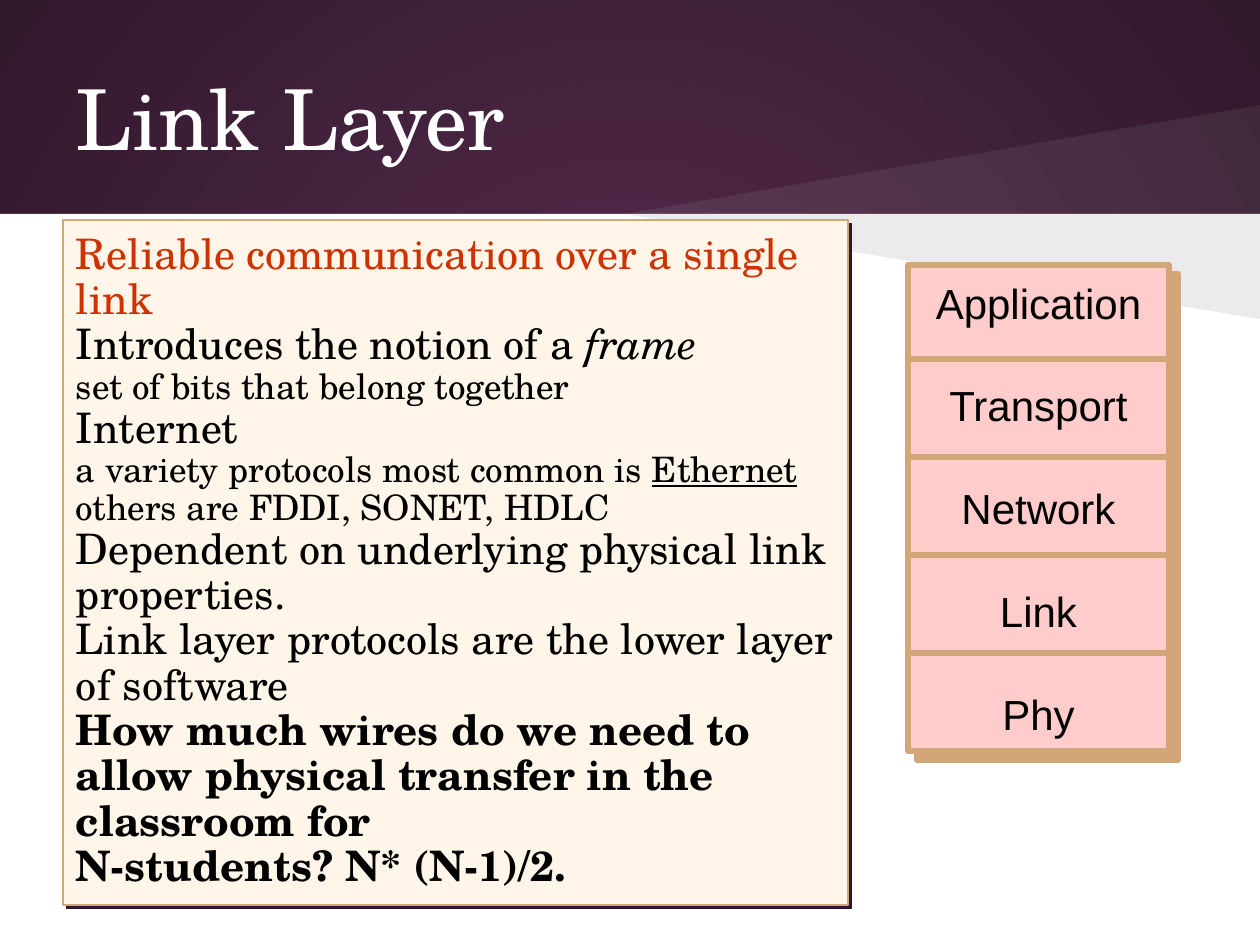
from lxml.etree import SubElement
from pptx import Presentation
from pptx.dml.color import RGBColor
from pptx.enum.shapes import MSO_CONNECTOR as Connector, MSO_SHAPE as Shape
from pptx.enum.text import MSO_ANCHOR as Anchor, PP_ALIGN as Align
from pptx.oxml.ns import qn
from pptx.util import Pt

SCALE = 914400 / 126  # EMU in one px
WIDTH, HEIGHT = 1260, 945
HORIZON = 214  # bottom of the dark band
SERIF, SANS = "TeX Gyre Schola", "Arial"
COLORS = {
    "plum": "592D50",
    "dark plum": "30182B",
    "white": "FFFFFF",
    "black": "000000",
    "cream": "FFF6E9",
    "tan": "D3A67A",
    "pink": "FFCCCC",
    "red": "CC3300",
}
LAYERS = ["Application", "Transport", "Network", "Link", "Phy"]

# Each paragraph: a list of (text, format) runs
SMALL = {"size": 20}
BOLD = {"bold": True}
NOTES = [
    [("Reliable communication over a single link", {"color": "red"})],
    [("Introduces the notion of a ", {}), ("frame", {"italic": True})],
    [("set of bits that belong together", SMALL)],
    [("Internet", {})],
    [("a variety protocols most common is ", SMALL),
     ("Ethernet", {"size": 20, "underline": True})],
    [("others are FDDI, SONET, HDLC", SMALL)],
    [("Dependent on underlying physical link properties.", {})],
    [("Link layer protocols are the lower layer of software", {})],
    [("How much wires do we need to allow physical transfer in the classroom for", BOLD)],
    [("N-students? N* (N-1)/2.", BOLD)],
]


def px(*lengths):
    return [round(length * SCALE) for length in lengths]


def rgb(name):
    return RGBColor.from_string(COLORS[name])


def paint(shape, fill, line=None, line_width=3, alpha=None):
    shape.shadow.inherit = False
    shape.fill.solid()
    shape.fill.fore_color.rgb = rgb(fill)
    if alpha is not None:
        color = shape.element.spPr.find(qn("a:solidFill"))[0]
        SubElement(color, qn("a:alpha"), val=str(alpha * 1000))
    if line:
        shape.line.color.rgb = rgb(line)
        shape.line.width = Pt(line_width)
    else:
        shape.line.fill.background()


def add_box(shapes, left, top, width, height, fill, **paint_format):
    box = shapes.add_shape(Shape.RECTANGLE, *px(left, top, width, height))
    paint(box, fill, **paint_format)
    return box


def add_triangle(shapes, points, fill, alpha):
    builder = shapes.build_freeform(*points[0], scale=SCALE)
    builder.add_line_segments(points[1:], close=True)
    paint(builder.convert_to_shape(), fill, alpha=alpha)


def add_line(shapes, x1, y1, x2, y2, color, width):
    line = shapes.add_connector(Connector.STRAIGHT, *px(x1, y1, x2, y2))
    line.line.color.rgb = rgb(color)
    line.line.width = Pt(width)
    SubElement(line.element.spPr, qn("a:effectLst"))


def add_shadow(shape, color):
    effects = shape.element.spPr.find(qn("a:effectLst"))
    shadow = SubElement(effects, qn("a:outerShdw"), dist=str(Pt(2.8)),
                        dir=str(45 * 60000), algn="ctr", rotWithShape="0")
    SubElement(shadow, qn("a:srgbClr"), val=COLORS[color])


def add_run(paragraph, text, size=24, font=SERIF, color="black",
            bold=False, italic=False, underline=False):
    run = paragraph.add_run()
    run.text = text
    run.font.size = Pt(size)
    run.font.name = font
    run.font.color.rgb = rgb(color)
    run.font.bold = bold
    run.font.italic = italic
    run.font.underline = underline


def set_frame(frame, anchor, wrap=True, inset=13):
    frame.word_wrap = wrap
    frame.vertical_anchor = anchor
    (frame.margin_left, frame.margin_top,
     frame.margin_right, frame.margin_bottom) = px(*[inset] * 4)


def next_paragraph(frame, index, align):
    paragraph = frame.add_paragraph() if index else frame.paragraphs[0]
    paragraph.alignment = align
    return paragraph


def add_backdrop(slide):
    # Radial gradient behind everything
    fill = slide.background.fill
    fill.gradient()
    for stop, color in zip(fill.gradient_stops, ("plum", "dark plum")):
        stop.color.rgb = rgb(color)
    gradient = slide.element.find(".//" + qn("a:gradFill"))
    gradient.remove(gradient.find(qn("a:lin")))
    path = SubElement(gradient, qn("a:path"))
    path.set("path", "circle")
    SubElement(path, qn("a:fillToRect"), l="50000", t="50000", r="50000", b="50000")
    # White page and the two slanted wedges at the horizon
    add_box(slide.shapes, 0, HORIZON, WIDTH, HEIGHT - HORIZON, "white")
    for tip, color, alpha in ((105, "white", 7), (319, "black", 8)):
        points = [(WIDTH, HORIZON), (624, HORIZON), (WIDTH, tip)]
        add_triangle(slide.shapes, points, color, alpha)


def add_title(slide, text):
    title = slide.shapes.title
    title.left, title.top, title.width, title.height = px(63, 38, 1134, 158)
    set_frame(title.text_frame, Anchor.MIDDLE)
    paragraph = next_paragraph(title.text_frame, 0, Align.LEFT)
    add_run(paragraph, text, size=48, color="white")


def add_notes_panel(slide):
    panel = add_box(slide.shapes, 63, 220, 785, 685, "cream", line="tan", line_width=0.75)
    add_shadow(panel, "dark plum")
    set_frame(panel.text_frame, Anchor.TOP)
    for index, runs in enumerate(NOTES):
        paragraph = next_paragraph(panel.text_frame, index, Align.LEFT)
        paragraph.line_spacing = 0.9
        for text, run_format in runs:
            add_run(paragraph, text, **run_format)


def add_layer_stack(slide):
    left, top, width, height = 908, 265, 261, 486
    add_box(slide.shapes, left + 9, top + 9, width, height, "tan", line="tan")
    shapes = slide.shapes.add_group_shape().shapes
    stack = add_box(shapes, left, top, width, height, "pink", line="tan")
    set_frame(stack.text_frame, Anchor.MIDDLE, wrap=False, inset=6)
    for index, name in enumerate(LAYERS):
        paragraph = next_paragraph(stack.text_frame, index, Align.CENTER)
        if index:
            paragraph.space_before = Pt(30)
        add_run(paragraph, name, font=SANS)
    # Dividers between the layers
    for index in range(len(LAYERS) - 1):
        y = 359 + 98 * index
        add_line(shapes, left, y, left + width, y, "tan", 3)


def main():
    presentation = Presentation()
    presentation.slide_width, presentation.slide_height = px(WIDTH, HEIGHT)
    slide = presentation.slides.add_slide(presentation.slide_layouts[5])
    add_backdrop(slide)
    # Bring the title in front of the backdrop
    slide.shapes.element.append(slide.shapes.title.element)
    add_title(slide, "Link Layer")
    add_notes_panel(slide)
    add_layer_stack(slide)
    presentation.save("out.pptx")


if __name__ == "__main__":
    main()
